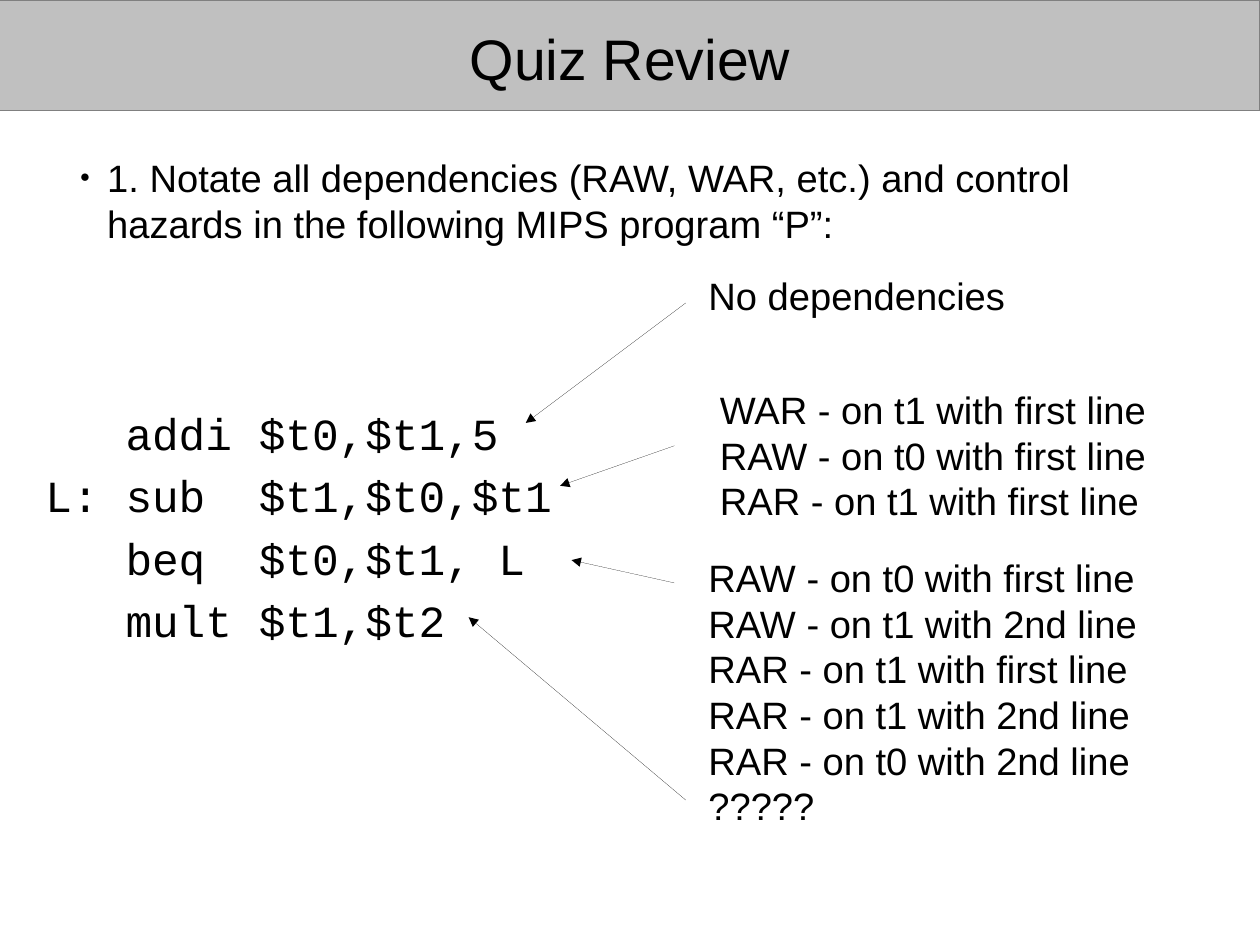
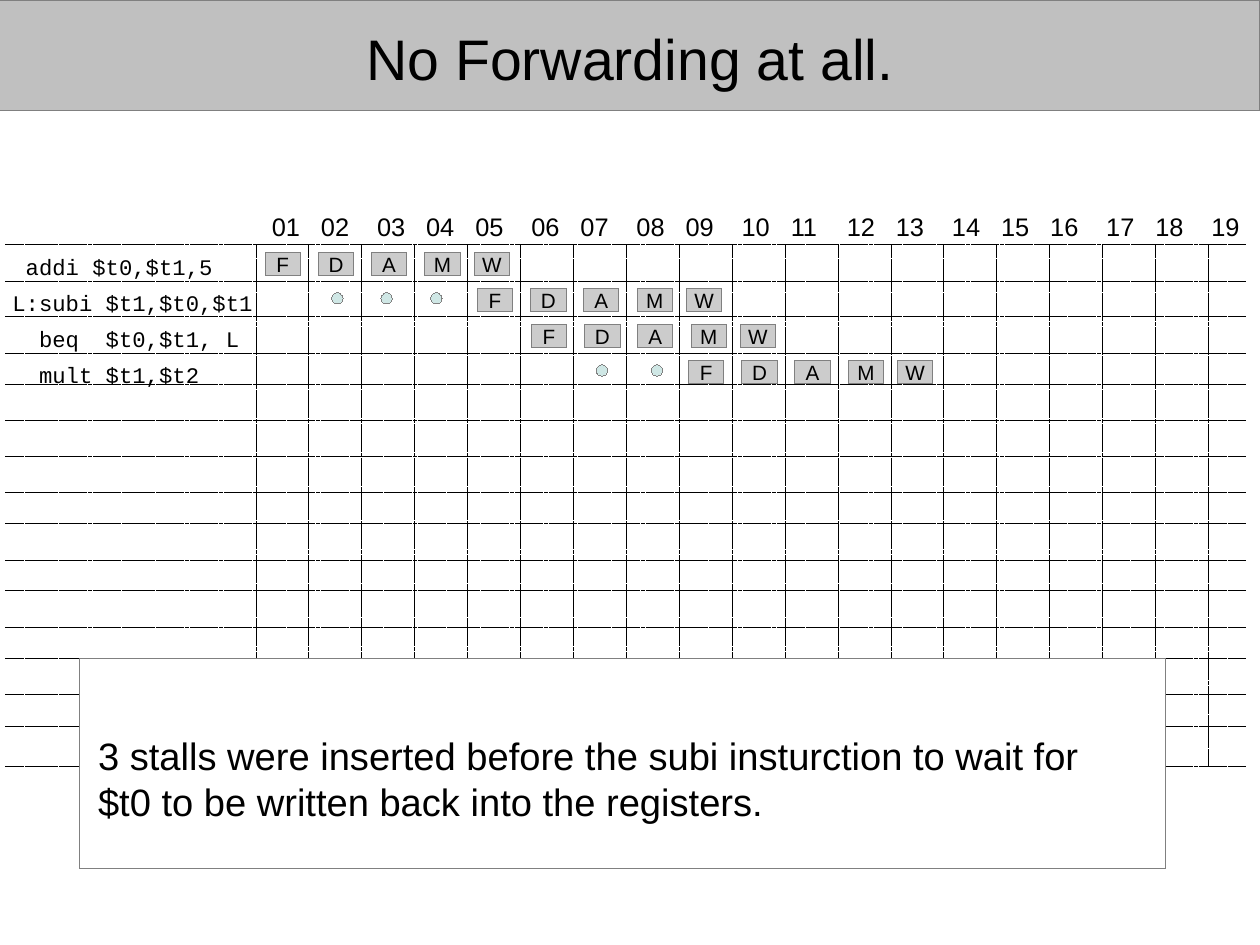
import itertools
import pptx
import pptx.dml.color
import pptx.enum.dml
import pptx.enum.shapes
import pptx.enum.text
import pptx.oxml
import pptx.oxml.ns
import pptx.util
import lxml.etree

BLACK = pptx.dml.color.RGBColor(0x00, 0x00, 0x00)
WHITE = pptx.dml.color.RGBColor(0xFF, 0xFF, 0xFF)
BAND = pptx.dml.color.RGBColor(0xC0, 0xC0, 0xC0)
EDGE = pptx.dml.color.RGBColor(0x80, 0x80, 0x80)
STAGE = pptx.dml.color.RGBColor(0xCC, 0xCC, 0xCC)
STALL = pptx.dml.color.RGBColor(0xCF, 0xE7, 0xE5)
SANS, MONO = "Arial", "Courier New"
KIND = pptx.enum.shapes.MSO_SHAPE
ALIGN = pptx.enum.text.PP_ALIGN
MID = pptx.enum.text.MSO_ANCHOR.MIDDLE
qn = pptx.oxml.ns.qn
unit = pptx.util.Inches(0.1)


def place(shapes, box, kind=None, fill=WHITE):
    spot = [round(side * unit) for side in box]
    if kind is None:
        shape = shapes.add_textbox(*spot)
    else:
        shape = shapes.add_shape(kind, *spot)
        shape.shadow.inherit = False
        shape.fill.solid()
        shape.fill.fore_color.rgb = fill
        shape.line.color.rgb = EDGE
        shape.line._ln.set("w", "0")
    shape.text_frame.word_wrap = True
    return shape


def write(frame, lines, size, face=SANS, gap=0, align=ALIGN.LEFT):
    for at, (text, stops) in enumerate(lines):
        para = frame.paragraphs[0] if at == 0 else frame.add_paragraph()
        para.alignment = align
        para.space_before = pptx.util.Pt(gap)
        run = para.add_run()
        run.text = text
        run.font.size = pptx.util.Pt(size)
        run.font.name = face
        run.font.color.rgb = BLACK
        if stops:
            tabs = lxml.etree.SubElement(para._p.get_or_add_pPr(), qn("a:tabLst"))
            for stop in stops:
                lxml.etree.SubElement(tabs, qn("a:tab"), pos=str(round(stop * unit)), algn="l")


deck = pptx.Presentation()
deck.slide_width = pptx.util.Cm(28)
deck.slide_height = pptx.util.Cm(21)
wide = deck.slide_width / unit

slides = []
for head in ("Quiz Review", "No Forwarding at all."):
    slide = deck.slides.add_slide(deck.slide_layouts[5])
    band = place(slide.shapes, (0, 0, wide, 9.65), KIND.RECTANGLE, BAND)
    slide.shapes._spTree.insert(2, band._element)
    title = slide.shapes.title
    title.left, title.top, title.width, title.height = [
        round(side * unit) for side in (wide * 0.05, 1.7, wide * 0.9, 6.7)]
    frame = title.text_frame
    frame.margin_left = frame.margin_right = frame.margin_top = frame.margin_bottom = 0
    frame.vertical_anchor = MID
    write(frame, [(head, ())], 36, align=ALIGN.CENTER)
    slides.append(slide)
quiz, pipe = slides

left, step, count = 22.4, 4.63, 19
top, base, pitch = 21.4, 67.1, 3.15
rules = (top, 24.6, 27.7, 30.9, 33.6, 36.8, 39.9, 43.1,
         45.8, 49, 51.7, 54.9, 57.6, 60.8, 63.6, base)
lines = [(quiz, 60, 26.5, 46, 37), (quiz, 59, 39, 49, 42.5),
         (quiz, 59, 51, 50, 49), (quiz, 60, 70, 41, 54)]
lines += [(pipe, left + step * col, top, left + step * col, base) for col in range(count)]
lines += [(pipe, 0.5, rule, 109, rule) for rule in rules]
for slide, *ends in lines:
    line = slide.shapes.add_connector(
        pptx.enum.shapes.MSO_CONNECTOR.STRAIGHT, *[round(end * unit) for end in ends])
    line.line.color.rgb = BLACK
    line.line._ln.set("w", "0")
    if slide is pipe:
        line.line.dash_style = pptx.enum.dml.MSO_LINE.SQUARE_DOT
        line.line._ln.find(qn("a:prstDash")).set("val", "sysDash")
    else:
        lxml.etree.SubElement(line.line._ln, qn("a:tailEnd"), type="triangle")
    lxml.etree.SubElement(line._element.spPr, qn("a:effectLst"))

task = place(quiz.shapes, (6, 13, 100, 13.5)).text_frame
write(task, [("1. Notate all dependencies (RAW, WAR, etc.) and control hazards "
              "in the following MIPS program “P”:", ())], 24)
props = task.paragraphs[0]._p.get_or_add_pPr()
props.set("marL", str(round(2.4 * unit)))
props.set("indent", str(round(-2.4 * unit)))
lxml.etree.SubElement(props, qn("a:buSzPct"), val="45000")
lxml.etree.SubElement(props, qn("a:buFont"), typeface=SANS)
lxml.etree.SubElement(props, qn("a:buChar"), char="●")

em = 28 * 0.6 / 7.2
stops = (3 * em, 8 * em)
code = place(quiz.shapes, (3, 35, 52, 26.2)).text_frame
write(code, [("\taddi\t$t0,$t1,5", stops), ("L:\tsub\t$t1,$t0,$t1", stops),
             ("\tbeq\t$t0,$t1, L", stops), ("\tmult\t$t1,$t2", stops)], 28, MONO, 5.8)

notes = [
    (61, 23.3, ["No dependencies"]),
    (62, 33.3, ["WAR - on t1 with first line", "RAW - on t0 with first line",
                "RAR - on t1 with first line"]),
    (61, 48, ["RAW - on t0 with first line", "RAW - on t1 with 2nd line",
              "RAR - on t1 with first line", "RAR - on t1 with 2nd line",
              "RAR - on t0 with 2nd line"]),
    (61, 68, ["?????"]),
]
for x, y, texts in notes:
    note = place(quiz.shapes, (x, y, 40, 0.9 + 3.75 * len(texts)))
    write(note.text_frame, [(text, ()) for text in texts], 24)

em = 14 * 0.6 / 7.2
code = place(pipe.shapes, (0.1, 21.7, 23.9, 22.2)).text_frame
write(code, [("\taddi\t$t0,$t1,5", (em, 6 * em)), ("L:subi\t$t1,$t0,$t1", (7 * em,)),
             ("\tbeq\t$t0,$t1, L", (2 * em, 7 * em)),
             ("\tmult\t$t1,$t2", (2 * em, 7 * em))], 14, MONO, 5.8)

near, far = 4.3, 4.9
gaps = (near, far, near) + (near, far) * 5 + (near, near, far, near, far)
clock = place(pipe.shapes, (22.8, 18, 86.9, 3.5)).text_frame
write(clock, [("\t".join(f"{num:02d}" for num in range(1, count + 1)),
               list(itertools.accumulate(gaps)))], 16)

shifts = (0, 1.01, 2.01, 3.02, 3.95)
flow = [(0.17, ()), (4.18, (1.43, 2.36, 3.3)), (5.2, ()), (8.17, (6.43, 7.47))]
for row, (start, stalls) in enumerate(flow):
    group = pipe.shapes.add_group_shape()
    for name, shift in zip("FDAMW", shifts):
        box = (left + step * (start + shift), 22.1 + pitch * row, 3.1, 2)
        stage = place(group.shapes, box, KIND.RECTANGLE, STAGE)
        stage.text_frame.word_wrap = False
        stage.text_frame.vertical_anchor = MID
        write(stage.text_frame, [(name, ())], 13, align=ALIGN.CENTER)
    for stall in stalls:
        box = (left + step * stall, 22.45 + pitch * row, 1, 1)
        place(pipe.shapes, box, KIND.OVAL, STALL)

place(pipe.shapes, (7, 57.6, 95, 18.4), KIND.RECTANGLE)
remark = place(pipe.shapes, (7.6, 63.6, 90.4, 8.3)).text_frame
write(remark, [("3 stalls were inserted before the subi insturction to wait for "
                "$t0 to be written back into the registers.", ())], 24)

deck.save("out.pptx")
